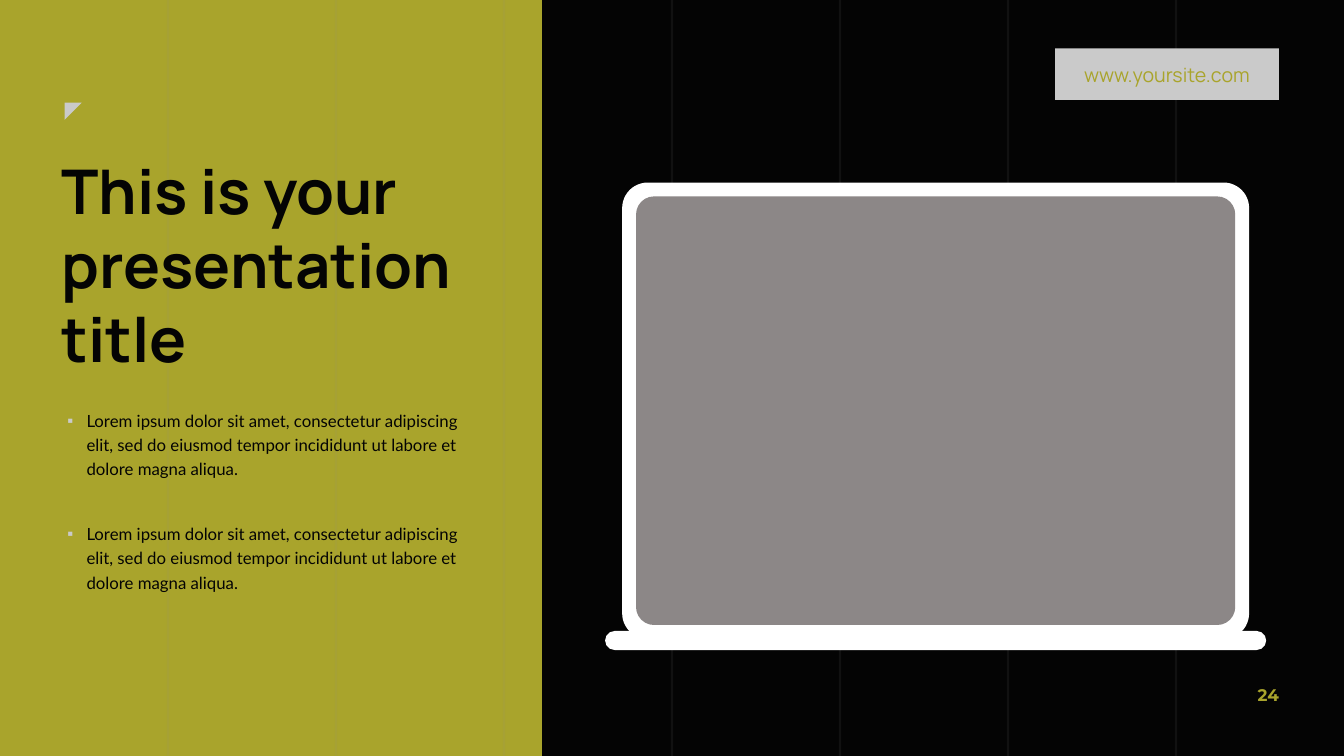
from lxml import etree
from pptx import Presentation, util as u
from pptx.dml.color import RGBColor
from pptx.enum import shapes, text
from pptx.oxml.ns import qn

OLIVE, BLACK, GREY, SILVER, WHITE = "A9A42C", "040404", "8C8787", "CACACA", "FFFFFF"
WIDTH, HEIGHT = 33.87, 19.05
COLUMNS = 8
LOREM = ("Lorem ipsum dolor sit amet, consectetur adipiscing elit, sed do eiusmod "
         "tempor incididunt ut labore et dolore magna aliqua.")


def rgb(color):
    return RGBColor.from_string(color)


def cm(*lengths):
    return [u.Cm(length) for length in lengths]


def add_panel(slide, kind, box, color):
    panel = slide.shapes.add_shape(kind, *cm(*box))
    panel.shadow.inherit = False
    panel.fill.solid()
    panel.fill.fore_color.rgb = rgb(color)
    panel.line.fill.background()
    return panel


def style(paragraph, font, size, color, align, bold=False):
    paragraph.alignment = align
    paragraph.font.name = font
    paragraph.font.size = u.Pt(size)
    paragraph.font.bold = bold
    paragraph.font.color.rgb = rgb(color)


def place(placeholder, box, margins):
    placeholder.left, placeholder.top, placeholder.width, placeholder.height = cm(*box)
    frame = placeholder.text_frame
    frame.word_wrap = True
    frame.auto_size = text.MSO_AUTO_SIZE.NONE
    frame.vertical_anchor = text.MSO_ANCHOR.TOP
    frame.margin_left = frame.margin_right = u.Cm(margins[0])
    frame.margin_top = frame.margin_bottom = u.Cm(margins[1])
    return frame


def add_bullet(paragraph):
    properties = paragraph._p.get_or_add_pPr()
    properties.set("marL", str(u.Cm(0.48)))
    properties.set("indent", str(-u.Cm(0.48)))
    bullet_color = etree.SubElement(properties, qn("a:buClr"))
    etree.SubElement(bullet_color, qn("a:srgbClr"), val=SILVER)
    etree.SubElement(properties, qn("a:buChar"), char="▪")


def draw_backdrop(slide, box):
    left, top, width, height = box
    slide.background.fill.solid()
    slide.background.fill.fore_color.rgb = rgb(OLIVE)
    split = 13.66
    add_panel(slide, shapes.MSO_SHAPE.RECTANGLE,
              (left + split, top, width - split, height), BLACK)
    # Faint column guides
    for column in range(1, COLUMNS):
        x = left + column * width / COLUMNS
        guide = slide.shapes.add_connector(
            shapes.MSO_CONNECTOR.STRAIGHT, *cm(x, top, x, top + height))
        guide.line.width = u.Pt(1.5)
        guide.line.color.rgb = rgb(GREY)
        tint = guide._element.spPr.find(".//" + qn("a:srgbClr"))
        etree.SubElement(tint, qn("a:alpha"), val="10000")
        etree.SubElement(guide._element.spPr, qn("a:effectLst"))


def draw_message(slide, box):
    left, top, width, height = box
    # Corner mark
    corner = add_panel(slide, shapes.MSO_SHAPE.RIGHT_TRIANGLE,
                       (left + 0.33, top, 0.43, 0.43), SILVER)
    corner.rotation = 90

    # Heading
    heading = place(slide.shapes.title, (left, top + 1.14, width, 5.9), (0.25, 0.13))
    heading.text = "This is your presentation\ntitle"
    for paragraph in heading.paragraphs:
        style(paragraph, "Manrope", 44, BLACK, text.PP_ALIGN.LEFT, bold=True)
        paragraph.line_spacing = u.Pt(52.8)

    # Bulleted points
    points_top = 7.65
    points = place(slide.placeholders[1],
                   (left + 0.4, top + points_top, 10.21, height - points_top), (0, 0))
    points.text = "\n".join([LOREM, LOREM])
    for index, paragraph in enumerate(points.paragraphs):
        add_bullet(paragraph)
        style(paragraph, "Lato", 12, BLACK, text.PP_ALIGN.LEFT)
        paragraph.line_spacing = 1.2
        paragraph.space_before = u.Pt(29.3 if index else 0)


def draw_laptop(slide, box):
    left, top, width, height = box
    lid_width, lid_height, bezel, base_height = 15.8, 11.5, 0.35, 0.48
    screen_width, screen_height = lid_width - 2 * bezel, lid_height - 2 * bezel
    parts = [  # top, width, height, corner, colour
        (0, lid_width, lid_height, 0.056, WHITE),
        (bezel, screen_width, screen_height, 0.042, GREY),
        (height - base_height, width, base_height, 0.5, WHITE),
    ]
    for offset, part_width, part_height, corner, color in parts:
        part = add_panel(slide, shapes.MSO_SHAPE.ROUNDED_RECTANGLE,
                         (left + (width - part_width) / 2, top + offset,
                          part_width, part_height), color)
        part.adjustments[0] = corner


def draw_site_label(slide, box):
    label = add_panel(slide, shapes.MSO_SHAPE.RECTANGLE, box, SILVER)
    label.text_frame.text = "www.yoursite.com"
    label.text_frame.vertical_anchor = text.MSO_ANCHOR.MIDDLE
    style(label.text_frame.paragraphs[0], "Manrope", 14, OLIVE, text.PP_ALIGN.CENTER)


def draw_page_number(slide, box):
    number = slide.shapes.add_textbox(*cm(*box)).text_frame
    number.word_wrap = True
    number.vertical_anchor = text.MSO_ANCHOR.MIDDLE
    number.text = "24"
    style(number.paragraphs[0], "Montserrat", 12, OLIVE, text.PP_ALIGN.RIGHT, bold=True)


def main():
    deck = Presentation()
    deck.slide_width, deck.slide_height = cm(WIDTH, HEIGHT)
    slide = deck.slides.add_slide(deck.slide_layouts[1])
    draw_backdrop(slide, (0, 0, WIDTH, HEIGHT))
    draw_message(slide, (1.3, 2.59, 11.3, 12.35))
    draw_laptop(slide, (15.25, 4.6, 16.66, 11.78))
    draw_site_label(slide, (26.59, 1.22, 5.64, 1.3))
    draw_page_number(slide, (31.34, 16.99, 1.14, 1.02))
    # Text goes in front of the backdrop
    tree = slide.shapes._spTree
    for placeholder in (slide.placeholders[1], slide.shapes.title):
        tree.append(placeholder._element)
    deck.save("out.pptx")


if __name__ == "__main__":
    main()
